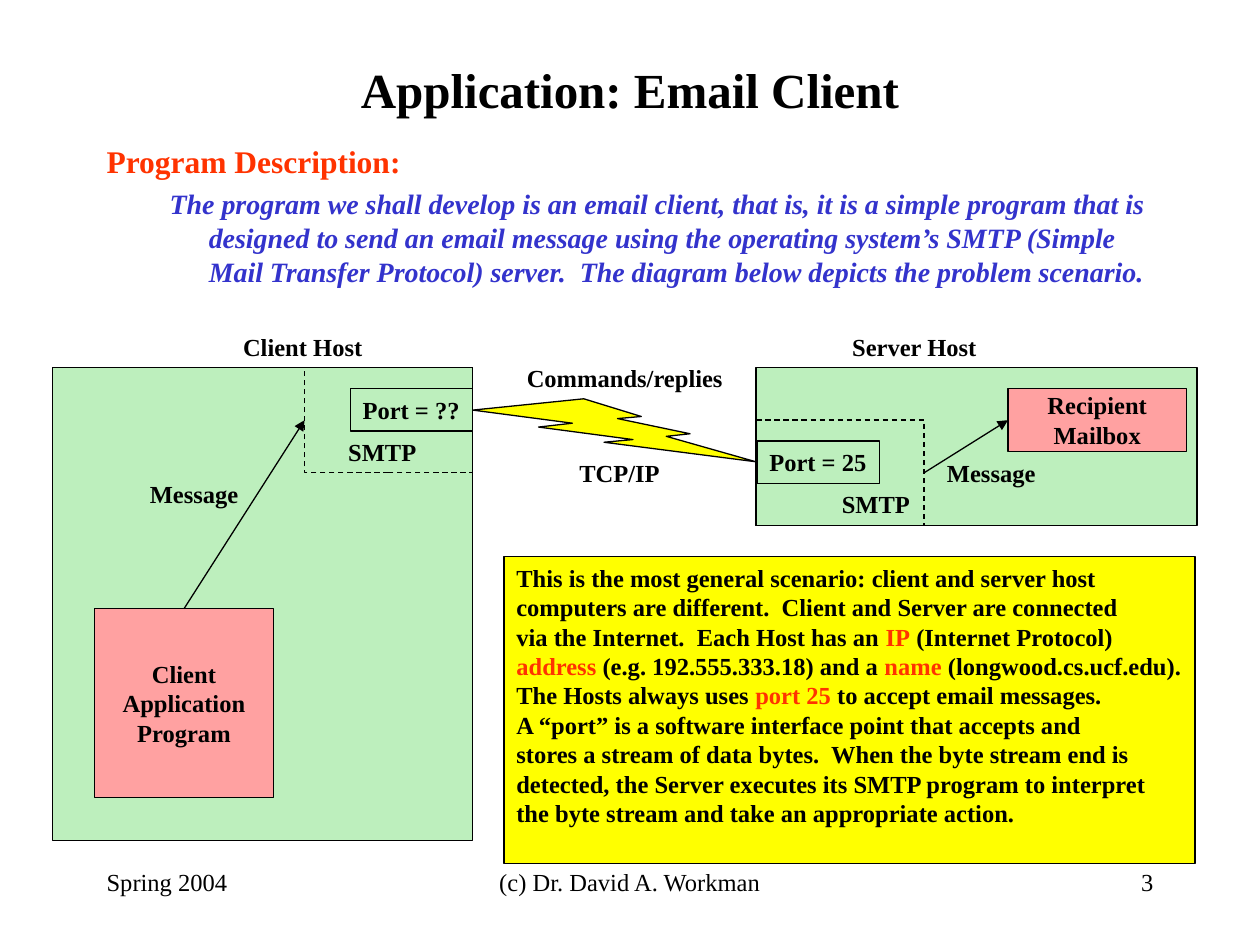
from lxml.etree import SubElement
from pptx import Presentation
from pptx.dml.color import RGBColor
from pptx.enum.dml import MSO_LINE
from pptx.enum.shapes import MSO_CONNECTOR, MSO_SHAPE
from pptx.enum.text import MSO_ANCHOR, MSO_AUTO_SIZE, PP_ALIGN
from pptx.oxml.ns import qn
from pptx.util import Cm, Pt

COLORS = {"black": "000000", "red": "FF3300", "blue": "3333CC",
          "green": "BDEFBD", "pink": "FFA1A1", "yellow": "FFFF00"}
BOLD = {"name": "Times New Roman", "size": Pt(14), "bold": True}
PLAIN = BOLD | {"bold": False}
TITLE = BOLD | {"size": Pt(28)}
HEADING = BOLD | {"size": Pt(18)}
DESCRIPTION = BOLD | {"size": Pt(16), "italic": True}
LABEL_HEIGHT = 0.86
SMTP_SIZE = (3.39, 2.12)
PORT_WIDTH = 2.47

SCENARIO = [
    [("This is the most general scenario: client and server host\n"
      "computers are different.  Client and Server are connected\n"
      "via the Internet.  Each Host has an ", "black"),
     ("IP", "red"), (" (Internet Protocol)\n", "black"), ("address", "red"),
     (" (e.g. 192.555.333.18) and a ", "black"), ("name", "red"),
     (" (longwood.cs.ucf.edu).", "black")],
    [("The Hosts always uses ", "black"), ("port 25", "red"),
     (" to accept email messages.", "black")],
    [("A “port” is a software interface point that accepts and\n"
      "stores a stream of data bytes.  When the byte stream end is detected, "
      "the Server executes its SMTP program to interpret the byte stream "
      "and take an appropriate action.", "black")],
]


def rgb(color):
    """Return the named colour."""
    return RGBColor.from_string(COLORS[color])


def apply(target, values):
    """Set every attribute in a dict of format values."""
    for name, value in values.items():
        setattr(target, name, value)


def place(box, left, top, width, height):
    """Return a box in centimetres relative to another box."""
    return box[0] + left, box[1] + top, width, height


def write(para, spans, font=BOLD, align=PP_ALIGN.LEFT):
    """Write coloured spans into a paragraph, with line breaks at newlines."""
    para.alignment = align
    for text, color in spans:
        for index, line in enumerate(text.split("\n")):
            if index:
                para.add_line_break()
            if line:
                span = para.add_run()
                span.text = line
                apply(span.font, font)
                span.font.color.rgb = rgb(color)


def fill_frame(frame, paras, font=BOLD, align=PP_ALIGN.LEFT):
    """Write a list of paragraphs into a text frame."""
    for index, spans in enumerate(paras):
        para = frame.add_paragraph() if index else frame.paragraphs[0]
        write(para, spans, font, align)


def add_panel(page, box, fill=None, dash=None, shape=MSO_SHAPE.RECTANGLE):
    """Add an outlined shape with an optional fill."""
    panel = page.shapes.add_shape(shape, *map(Cm, box))
    panel.shadow.inherit = False
    if fill:
        panel.fill.solid()
        panel.fill.fore_color.rgb = rgb(fill)
    else:
        panel.fill.background()
    panel.line.color.rgb = rgb("black")
    apply(panel.line, {"width": Pt(0.75), "dash_style": dash})
    return panel


def add_block(page, box, lines):
    """Add a pink box with centred lines."""
    frame = add_panel(page, box, "pink").text_frame
    apply(frame, {"word_wrap": False, "vertical_anchor": MSO_ANCHOR.MIDDLE})
    fill_frame(frame, [[(line, "black")] for line in lines], align=PP_ALIGN.CENTER)


def add_label(page, box, left, top, width, text, outlined=False):
    """Add a one-line bold label, outlined for a port."""
    spot = place(box, left, top, width, LABEL_HEIGHT)
    label = add_panel(page, spot) if outlined else page.shapes.add_textbox(*map(Cm, spot))
    apply(label.text_frame, {"word_wrap": False, "vertical_anchor": MSO_ANCHOR.TOP,
                             "auto_size": MSO_AUTO_SIZE.SHAPE_TO_FIT_TEXT})
    fill_frame(label.text_frame, [[(text, "black")]])


def add_arrow(page, box, start, end):
    """Add an arrow between two points relative to a box."""
    points = [Cm(box[axis] + point[axis]) for point in (start, end) for axis in (0, 1)]
    arrow = page.shapes.add_connector(MSO_CONNECTOR.STRAIGHT, *points)
    arrow.line.color.rgb = rgb("black")
    arrow.line.width = Pt(0.75)
    SubElement(arrow.line._get_or_add_ln(), qn("a:tailEnd"), type="triangle")
    SubElement(arrow._element.spPr, qn("a:effectLst"))


def add_title(page, box):
    """Move and fill the title placeholder."""
    title = page.shapes.title
    apply(title, dict(zip(("left", "top", "width", "height"), map(Cm, box))))
    title.text_frame.vertical_anchor = MSO_ANCHOR.MIDDLE
    fill_frame(title.text_frame, [[("Application: Email Client", "black")]],
               TITLE, PP_ALIGN.CENTER)


def add_description(page, box):
    """Add the heading and the indented program description."""
    frame = page.shapes.add_textbox(*map(Cm, box)).text_frame
    frame.word_wrap = True
    write(frame.paragraphs[0], [("Program Description:", "red")], HEADING)
    para = frame.add_paragraph()
    para.space_before = Pt(4)
    para._p.get_or_add_pPr().set("marL", str(Cm(2.06)))
    para._p.get_or_add_pPr().set("indent", str(Cm(-0.79)))
    write(para, [("The program we shall develop is an email client, that is, it is a "
                  "simple program that is designed to send an email message using the "
                  "operating system’s SMTP (Simple Mail Transfer Protocol) server.  "
                  "The diagram below depicts the problem scenario.", "blue")], DESCRIPTION)


def add_client(page, box):
    """Add the client host with its program and SMTP port."""
    add_panel(page, box, "green")
    add_label(page, box, 3.59, -0.85, 2.92, "Client Host")
    add_block(page, place(box, 0.85, 4.86, 3.6, 3.81), ["Client", "Application\nProgram"])
    add_panel(page, place(box, 5.08, 0, *SMTP_SIZE), dash=MSO_LINE.DASH)
    add_label(page, box, 6, 0.42, PORT_WIDTH, "Port = ??", outlined=True)
    add_label(page, box, 5.71, 1.27, 1.88, "SMTP")
    add_label(page, box, 1.71, 2.12, 2.29, "Message")
    add_arrow(page, box, (2.65, 4.86), (5.08, 1.06))


def add_server(page, box):
    """Add the server host with its SMTP port and mailbox."""
    add_panel(page, box, "green")
    add_label(page, box, 1.69, -0.85, 3.02, "Server Host")
    add_panel(page, place(box, 0, 1.06, *SMTP_SIZE), dash=MSO_LINE.DASH)
    add_label(page, box, 0.02, 1.48, PORT_WIDTH, "Port = 25", outlined=True)
    add_label(page, box, 1.48, 2.33, 1.88, "SMTP")
    add_block(page, place(box, 5.08, 0.42, 3.6, 1.27), ["Recipient", "Mailbox"])
    add_arrow(page, box, (3.39, 2.12), (5.08, 1.06))
    add_label(page, box, 3.6, 1.69, 2.29, "Message")


def add_link(page, box):
    """Add the network bolt between the hosts."""
    add_panel(page, box, "yellow", shape=MSO_SHAPE.LIGHTNING_BOLT)
    add_label(page, box, 0.84, -0.85, 4.47, "Commands/replies")
    add_label(page, box, 1.9, 1.06, 2.13, "TCP/IP")


def add_scenario(page, box):
    """Add the yellow explanation."""
    frame = add_panel(page, box, "yellow").text_frame
    apply(frame, {"word_wrap": True, "vertical_anchor": MSO_ANCHOR.TOP})
    fill_frame(frame, SCENARIO)


def add_footer(page, box):
    """Add the date, the copyright line and the page number."""
    for left, width, text, align in (
            (0, 5.29, "Spring 2004", PP_ALIGN.LEFT),
            (6.77, 8.05, "(c) Dr. David A. Workman", PP_ALIGN.CENTER),
            (box[2] - 5.29, 5.29, "3", PP_ALIGN.RIGHT)):
        spot = place(box, left, 0, width, box[3])
        frame = page.shapes.add_textbox(*map(Cm, spot)).text_frame
        frame.word_wrap = True
        fill_frame(frame, [[(text, "black")]], PLAIN, align)


def main():
    """Build and save the slide."""
    deck = Presentation()
    apply(deck, {"slide_width": Cm(25.4), "slide_height": Cm(19.05)})
    page = deck.slides.add_slide(deck.slide_layouts[5])
    add_title(page, (1.9, 1.07, 21.6, 1.45))
    add_description(page, (1.9, 2.74, 21.6, 3.38))
    add_client(page, (1.06, 7.41, 8.47, 9.53))
    add_server(page, (15.24, 7.41, 8.89, 3.18))
    add_link(page, (9.53, 8.04, 5.71, 1.27))
    add_scenario(page, (10.16, 11.22, 13.93, 6.19))
    add_footer(page, (1.9, 17.36, 21.6, 1.27))
    deck.save("out.pptx")


if __name__ == "__main__":
    main()
